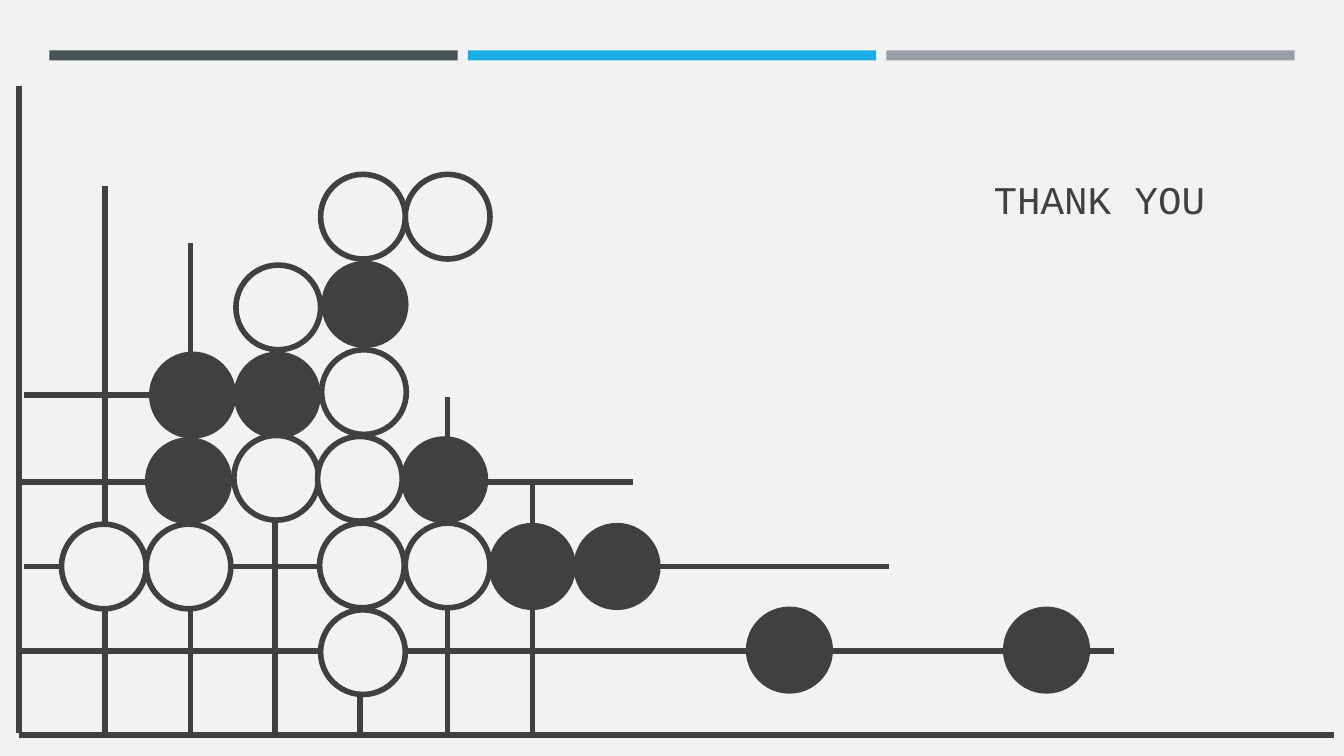
from dataclasses import dataclass

from lxml.etree import SubElement
from pptx import Presentation
from pptx.dml.color import RGBColor
from pptx.enum.shapes import MSO_CONNECTOR, MSO_SHAPE
from pptx.enum.text import PP_ALIGN
from pptx.oxml.ns import qn
from pptx.util import Pt

PX = 9144  # EMU, 100 px to the inch
WIDTH, HEIGHT = 1333, 750


@dataclass(frozen=True)
class Theme:
    paper: str = "F2F2F2"
    ink: str = "404040"
    bars: tuple = ("465359", "1CADE4", "969FA7")
    font: str = "Courier New"
    title_size: float = 28
    grid_line: float = 4
    black_line: float = 1.75


class Board:
    """Holds the theme, the slide and the group that collects the game board."""

    def __init__(self, slide, theme):
        self.slide, self.theme = slide, theme
        fill = slide.background.fill
        fill.solid()
        fill.fore_color.rgb = RGBColor.from_string(theme.paper)
        self.group = None

    def start_group(self):
        self.group = self.slide.shapes.add_group_shape()

    def shape(self, shapes, kind, x, y, w, h, fill, line_width=None):
        sp = shapes.add_shape(kind, x * PX, y * PX, w * PX, h * PX)
        sp.shadow.inherit = False
        sp.fill.solid()
        sp.fill.fore_color.rgb = RGBColor.from_string(fill)
        if line_width:
            sp.line.color.rgb = RGBColor.from_string(self.theme.ink)
            sp.line.width = Pt(line_width)
        else:
            sp.line.fill.background()

    def rect(self, x, y, w, h, fill):
        self.shape(self.slide.shapes, MSO_SHAPE.RECTANGLE, x, y, w, h, fill)

    def stone(self, colour, x, y):
        t = self.theme
        fill, width = {"black": (t.ink, t.black_line),
                       "white": (t.paper, t.grid_line)}[colour]
        self.shape(self.group.shapes, MSO_SHAPE.OVAL, x, y, STONE, STONE, fill, width)

    def line(self, x1, y1, x2, y2):
        cxn = self.group.shapes.add_connector(
            MSO_CONNECTOR.STRAIGHT, x1 * PX, y1 * PX, x2 * PX, y2 * PX)
        cxn.line.color.rgb = RGBColor.from_string(self.theme.ink)
        cxn.line.width = Pt(self.theme.grid_line)
        SubElement(cxn._element.spPr, qn("a:effectLst"))

    def text(self, text, x, y, w, h, *, size, color, align=PP_ALIGN.LEFT,
             line_spacing=1.0, before=0, after=0):
        tf = self.slide.shapes.add_textbox(x * PX, y * PX, w * PX, h * PX).text_frame
        tf.word_wrap = True
        p = tf.paragraphs[0]
        p.alignment = align
        p.line_spacing = line_spacing
        p.space_before, p.space_after = Pt(before), Pt(after)
        r = p.add_run()
        r.text = text
        r.font.name = self.theme.font
        r.font.size = Pt(size)
        r.font.color.rgb = RGBColor.from_string(color)


STONE = 84
BAR_LEFT, BAR_TOP, BAR_WIDTH, BAR_HEIGHT, BAR_STEP = 49, 50, 405, 10, 415
EDGE = 19
BOTTOM = 729

# (y, right end, left end)
ROWS = [(BOTTOM, 1323, EDGE), (646, 1105, EDGE), (562, 882, 24),
        (478, 628, EDGE), (392, 357, 24)]
# (x, top end, bottom end)
COLUMNS = [(EDGE, 85, 727), (104, 185, 728), (189, 241, BOTTOM), (273, 299, BOTTOM),
           (357, 393, 727), (444, 394, 728), (528, 478, BOTTOM)]
# (colour, left, top), from back to front
STONES = [
    ("white", 402, 173), ("black", 145, 435), ("white", 318, 173),
    ("white", 61, 520), ("white", 145, 520), ("black", 149, 350),
    ("black", 233, 350), ("white", 232, 432), ("white", 315, 433),
    ("white", 317, 519), ("white", 318, 605), ("white", 319, 347),
    ("white", 234, 263), ("black", 320, 260), ("white", 402, 519),
    ("black", 399, 434), ("black", 486, 520), ("black", 570, 520),
    ("black", 741, 603), ("black", 996, 603),
]


def main():
    prs = Presentation()
    prs.slide_width, prs.slide_height = WIDTH * PX, HEIGHT * PX
    theme = Theme()
    board = Board(prs.slides.add_slide(prs.slide_layouts[6]), theme)

    board.rect(0, 0, WIDTH, HEIGHT, theme.paper)
    for i, color in enumerate(theme.bars):
        board.rect(BAR_LEFT + i * BAR_STEP, BAR_TOP, BAR_WIDTH, BAR_HEIGHT, color)

    board.start_group()
    for y, right, left in ROWS:
        board.line(right, y, left, y)
    for x, top, bottom in COLUMNS:
        board.line(x, top, x, bottom)
    for colour, x, y in STONES:
        board.stone(colour, x, y)

    board.text("THANK YOU", 764, 164, 441, 127, size=theme.title_size,
               color=theme.ink, align=PP_ALIGN.RIGHT, line_spacing=1.1,
               before=5.6, after=6)
    prs.save("out.pptx")


if __name__ == "__main__":
    main()
